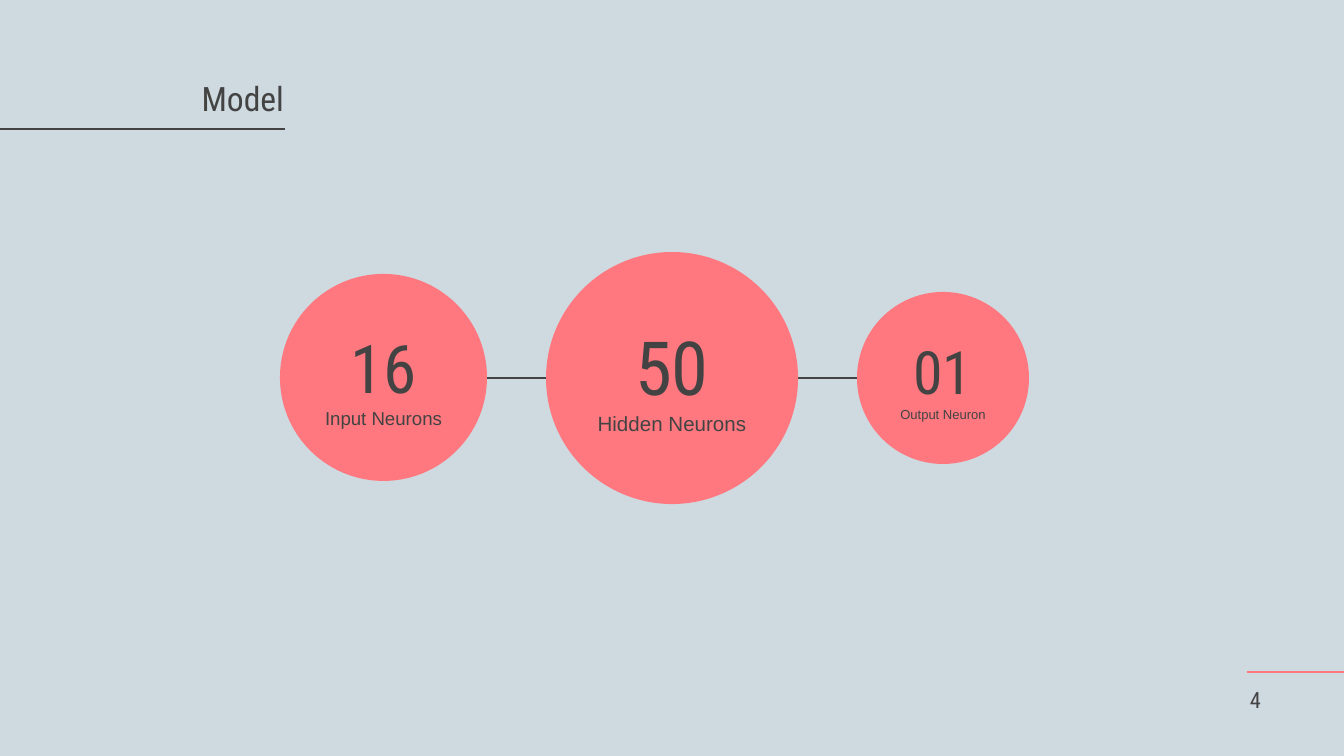
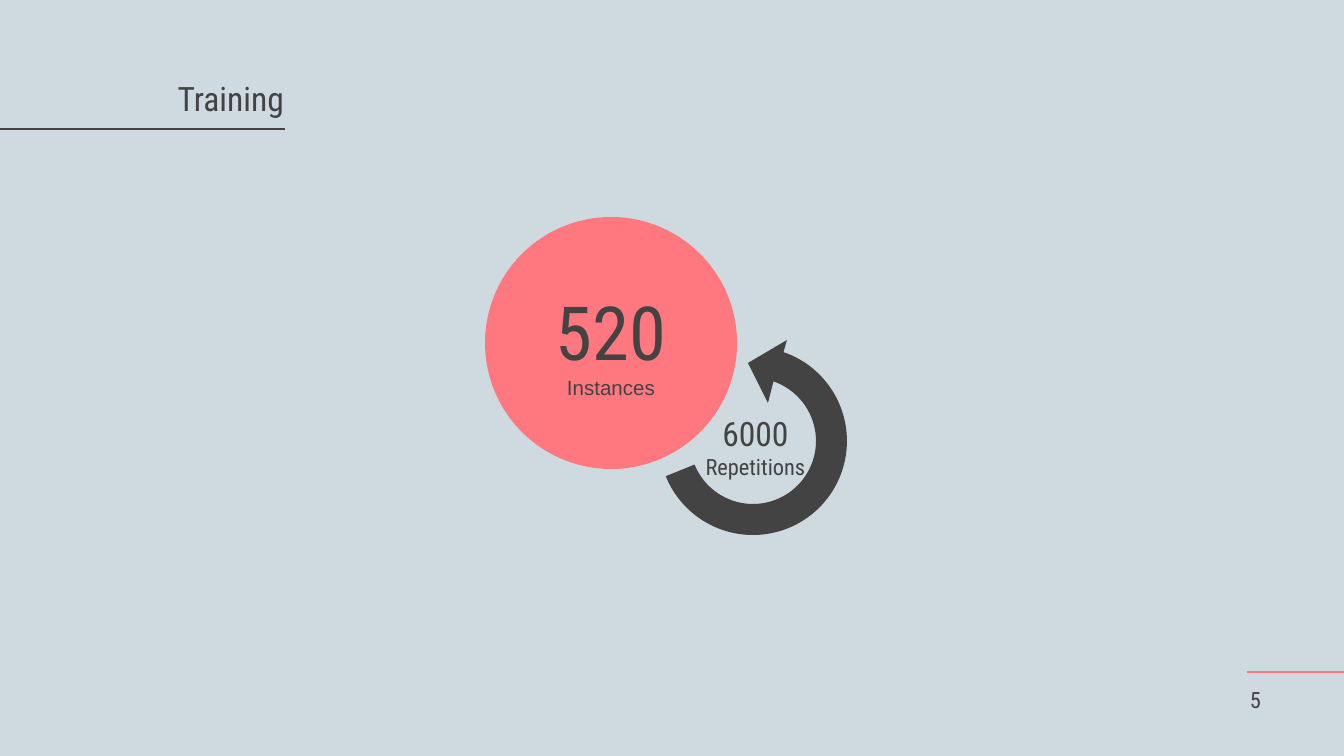
"""Build two slides on a neural network: its model and its training."""
from math import cos, radians, sin

from pptx import Presentation
from pptx.dml.color import RGBColor
from pptx.enum.shapes import MSO_CONNECTOR, MSO_SHAPE
from pptx.enum.text import MSO_ANCHOR as Anchor, MSO_AUTO_SIZE as AutoSize, PP_ALIGN as Align
from pptx.oxml.ns import qn
from pptx.util import Pt
from lxml.etree import SubElement

SCALE = 914400 / 134.4
BACKGROUND = RGBColor(0xCF, 0xD9, 0xE0)
CORAL = RGBColor(0xFF, 0x78, 0x7F)
DARK = RGBColor(0x43, 0x43, 0x43)
HEADING, BODY = "Roboto Condensed", "Arial"
INSET = 13

TITLES = ["Model", "Training"]
FIRST_NUMBER = 4
CIRCLES = [
    (0, 546, 252, 252, "50", 40, "Hidden Neurons", 11),
    (0, 280, 274, 207, "16", 36, "Input Neurons", 10),
    (0, 857, 292, 172, "01", 32, "Output Neuron", 7),
    (1, 485, 217, 252, "520", 40, "Instances", 11),
]
ARC_CENTER = (753, 441)
ARCS = [(94, -71, 0), (94, 0, 90), (94, 90, 158), (63, 158, -71)]
ARROW_HEAD = [(768, 403), (748, 363), (787, 340)]


def px(*lengths):
    """Turn pixels into EMU."""
    return [round(length * SCALE) for length in lengths]


def write(shape, lines, align, anchor, inset):
    """Fill a shape with (text, size, font) lines."""
    frame = shape.text_frame
    frame.text = "\n".join(line[0] for line in lines)
    frame.word_wrap = True
    frame.auto_size = AutoSize.NONE
    frame.vertical_anchor = anchor
    frame.margin_left, frame.margin_top, frame.margin_right, frame.margin_bottom = px(*[inset] * 4)
    for para, (_, size, font) in zip(frame.paragraphs, lines):
        para.alignment = align
        for span in para.runs:
            span.font.size = Pt(size)
            span.font.name = font
            span.font.color.rgb = DARK


deck = Presentation()
deck.slide_width, deck.slide_height = px(1344, 756)
backdrop = deck.slide_master.background.fill
backdrop.solid()
backdrop.fore_color.rgb = BACKGROUND
slides = [deck.slides.add_slide(deck.slide_layouts[5]) for _ in TITLES]

rules = [(slide, *rule) for slide in slides for rule in
         [(1247, 1344, 672, CORAL, 1.5), (-3, 285, 129, DARK, 1.5)]]
rules += [(slides[0], start, start + 59, 378, DARK, 0.75) for start in (487, 798)]
for slide, start, end, height, color, weight in rules:
    line = slide.shapes.add_connector(MSO_CONNECTOR.STRAIGHT, *px(start, height, end, height))
    line.line.color.rgb = color
    line.line.width = Pt(weight)
    SubElement(line._element.spPr, qn("a:effectLst"))

for number, (slide, heading) in enumerate(zip(slides, TITLES), FIRST_NUMBER):
    page = slide.shapes.add_textbox(*px(1237, 668, 47, 58))
    write(page, [(str(number), 12, HEADING)], Align.LEFT, Anchor.BOTTOM, INSET)
    title = slide.shapes.title
    title.left, title.top, title.width, title.height = px(63, 88, 234, 43)
    write(title, [(heading, 18, HEADING)], Align.RIGHT, Anchor.BOTTOM, INSET)

for index, left, top, size, count, count_size, label, label_size in CIRCLES:
    circle = slides[index].shapes.add_shape(MSO_SHAPE.OVAL, *px(left, top, size, size))
    circle.shadow.inherit = False
    circle.fill.solid()
    circle.fill.fore_color.rgb = CORAL
    circle.line.fill.background()
    write(circle, [(count, count_size, HEADING), (label, label_size, BODY)],
          Align.CENTER, Anchor.MIDDLE, 0)

center_x, center_y = ARC_CENTER
arc_starts, arc_ends = [
    [(center_x + arc[0] * cos(radians(arc[side])), center_y + arc[0] * sin(radians(arc[side])))
     for arc in ARCS]
    for side in (1, 2)
]
corners = arc_ends[:3] + [arc_starts[3], arc_ends[3]] + ARROW_HEAD
builder = slides[1].shapes.build_freeform(*px(*arc_starts[0]), scale=1.0)
builder.add_line_segments([px(*corner) for corner in corners], close=True)
arrow = builder.convert_to_shape()
segments = list(arrow._element.iter(qn("a:lnTo")))
for segment, (radius, start, end) in zip(segments[:3] + [segments[4]], ARCS):
    reach = str(px(radius)[0])
    segment.clear()
    segment.tag = qn("a:arcTo")
    segment.set("wR", reach)
    segment.set("hR", reach)
    segment.set("stAng", str(start % 360 * 60000))
    segment.set("swAng", str((end - start) * 60000))
arrow.shadow.inherit = False
arrow.fill.solid()
arrow.fill.fore_color.rgb = DARK
arrow.line.fill.background()

repetitions = slides[1].shapes.add_textbox(*px(679, 399, 153, 95))
write(repetitions, [("6000", 18, HEADING), ("Repetitions", 12, HEADING)],
      Align.CENTER, Anchor.MIDDLE, INSET)

deck.save("out.pptx")
